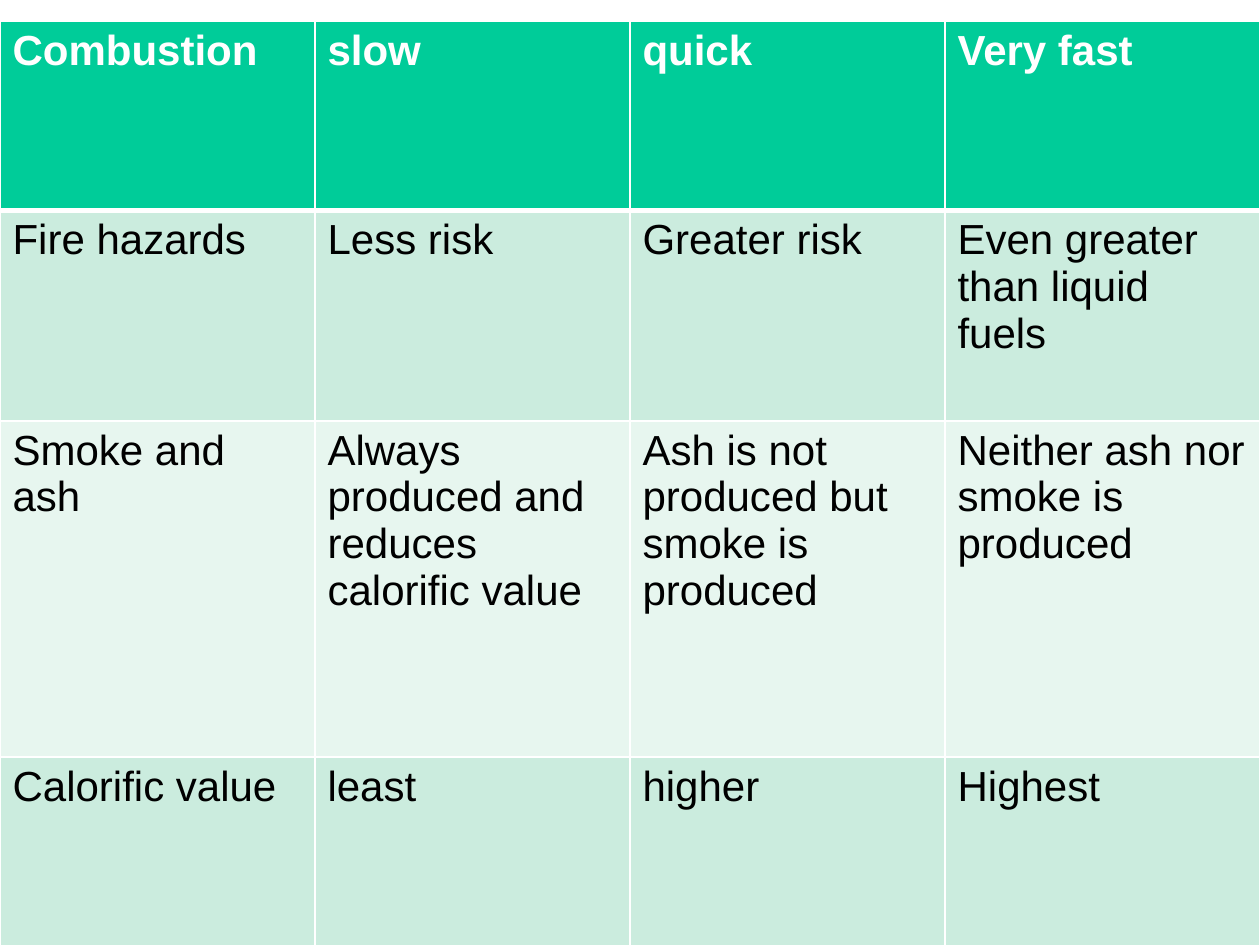
from pptx import Presentation
from pptx.dml.color import RGBColor as Rgb
from pptx.oxml.ns import qn
from pptx.util import Inches, Pt
from lxml.etree import SubElement as Sub

HUES = {"head": "00CC99", "dark": "CBECDE", "light": "E7F6EF",
        "white": "FFFFFF", "black": "000000"}
ROWS = [
    ["Combustion", "slow", "quick", "Very fast"],
    ["Fire hazards", "Less risk", "Greater risk",
     "Even greater than liquid fuels"],
    ["Smoke and ash", "Always produced and reduces calorific value",
     "Ash is not produced but smoke is produced",
     "Neither ash nor smoke is produced"],
    ["Calorific value", "least", "higher", "Highest"],
]
TALL = [1.5, 1.67, 2.67, 1.5]
WIDE = 2.5


def add_edge(cell, side, width):
    """Draw one white border of a cell."""
    line = Sub(cell._tc.get_or_add_tcPr(), qn(f"a:ln{side}"), w=str(Pt(width)))
    Sub(Sub(line, qn("a:solidFill")), qn("a:srgbClr"), val=HUES["white"])


def fill_cell(cell, text, row):
    """Give a cell its borders, fill and text by its row."""
    head = row == 0
    add_edge(cell, "L", 1)
    add_edge(cell, "R", 1)
    add_edge(cell, "T", 3 if row == 1 else 1)
    add_edge(cell, "B", 3 if head else 1)
    shade = "head" if head else "dark" if row % 2 else "light"
    cell.fill.solid()
    cell.fill.fore_color.rgb = Rgb.from_string(HUES[shade])
    run = cell.text_frame.paragraphs[0].add_run()
    run.text = text
    font = run.font
    font.name, font.size, font.bold = "Arial", Pt(24), head
    font.color.rgb = Rgb.from_string(HUES["white" if head else "black"])


def add_grid(slide):
    """Add the table that compares the fuels."""
    count = len(ROWS[0])
    grid = slide.shapes.add_table(
        len(ROWS), count, Inches(0), Inches(0.17),
        Inches(WIDE * count), Inches(sum(TALL))).table
    for col in grid.columns:
        col.width = Inches(WIDE)
    for row, texts in enumerate(ROWS):
        grid.rows[row].height = Inches(TALL[row])
        for col, text in enumerate(texts):
            fill_cell(grid.cell(row, col), text, row)


def main():
    """Build and save the slide."""
    deck = Presentation()
    deck.slide_width, deck.slide_height = Inches(10), Inches(7.5)
    add_grid(deck.slides.add_slide(deck.slide_layouts[6]))
    deck.save("out.pptx")


if __name__ == "__main__":
    main()
